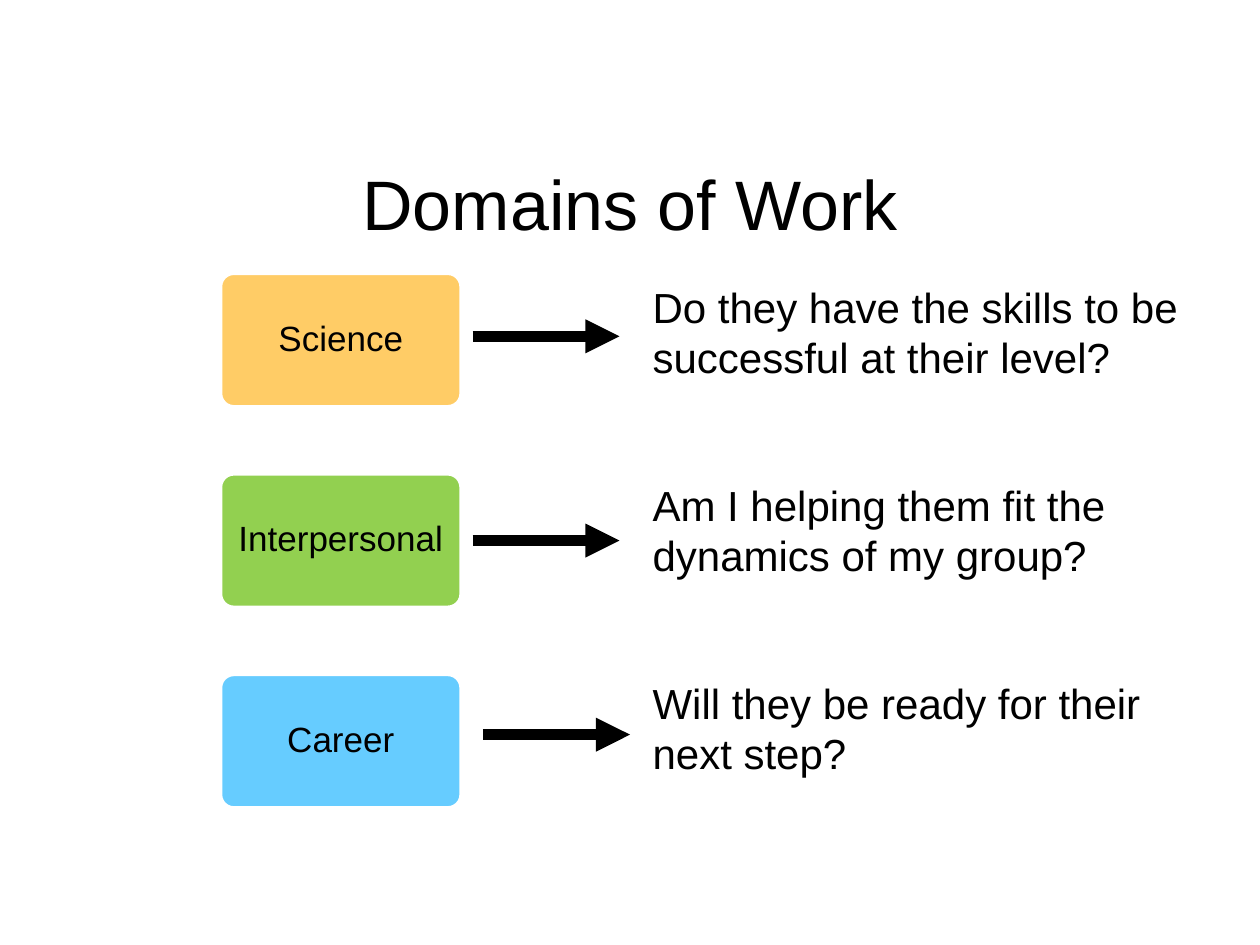
import pptx
import pptx.util
import pptx.dml.color
import pptx.enum.shapes
import pptx.enum.text
import pptx.oxml.ns
import lxml.etree

Pt = pptx.util.Pt
RGBColor = pptx.dml.color.RGBColor
ALIGN = pptx.enum.text.PP_ALIGN
ANCHOR = pptx.enum.text.MSO_ANCHOR
SHAPE = pptx.enum.shapes.MSO_SHAPE
CONNECTOR = pptx.enum.shapes.MSO_CONNECTOR
qn = pptx.oxml.ns.qn

BLACK = RGBColor(0x00, 0x00, 0x00)
WHITE = RGBColor(0xFF, 0xFF, 0xFF)
ORANGE = RGBColor(0xFF, 0xCC, 0x66)
GREEN = RGBColor(0x92, 0xD0, 0x50)
BLUE = RGBColor(0x66, 0xCC, 0xFF)

# Content: domain, colour, question, start of its arrow
TITLE = "Domains of Work"
DOMAINS = [
    ("Science", ORANGE, "Do they have the skills to be successful at their level?", (270, 192.2)),
    ("Interpersonal", GREEN, "Am I helping them fit the dynamics of my group?", (270, 308.9)),
    ("Career", BLUE, "Will they be ready for their next step?", (276, 419.8)),
]

# Layout in points
BOX_LEFT, BOX_TOP, BOX_WIDTH, BOX_HEIGHT = 126, 156.2, 137.5, 76.3
BOX_PITCH = 114.6
ARROW_LENGTH = 84


def write_text(frame, paragraphs, size, align=ALIGN.LEFT, anchor=ANCHOR.TOP,
               side_inset=7.2, top_inset=3.6, line_spacing=None, gap=0):
    frame.word_wrap = True
    frame.vertical_anchor = anchor
    frame.margin_left = frame.margin_right = Pt(side_inset)
    frame.margin_top, frame.margin_bottom = Pt(top_inset), Pt(3.6)
    for index, text in enumerate(paragraphs):
        paragraph = frame.add_paragraph() if index else frame.paragraphs[0]
        paragraph.text = text
        paragraph.alignment = align
        paragraph.line_spacing = line_spacing
        if index:
            paragraph.space_before = Pt(gap)
        paragraph.font.name = "Arial"
        paragraph.font.size = Pt(size)
        paragraph.font.color.rgb = BLACK


def add_arrow(shapes, left, top):
    arrow = shapes.add_connector(CONNECTOR.STRAIGHT, Pt(left), Pt(top),
                                 Pt(left + ARROW_LENGTH), Pt(top))
    arrow.line.color.rgb = BLACK
    arrow.line.width = Pt(6.5)
    properties = arrow.element.spPr
    lxml.etree.SubElement(properties.find(qn("a:ln")), qn("a:tailEnd"), type="triangle")
    lxml.etree.SubElement(properties, qn("a:effectLst"))


def main():
    deck = pptx.Presentation()
    deck.slide_width, deck.slide_height = Pt(720), Pt(540)
    shapes = deck.slides.add_slide(deck.slide_layouts[6]).shapes

    # Title
    title = shapes.add_textbox(Pt(36), Pt(84.2), Pt(648), Pt(77.8))
    write_text(title.text_frame, [TITLE], size=40, align=ALIGN.CENTER, top_inset=7.5)

    # Domain boxes and their arrows
    for row, (domain, colour, _, arrow_start) in enumerate(DOMAINS):
        box = shapes.add_shape(SHAPE.ROUNDED_RECTANGLE, Pt(BOX_LEFT),
                               Pt(BOX_TOP + row * BOX_PITCH), Pt(BOX_WIDTH), Pt(BOX_HEIGHT))
        box.adjustments[0] = 0.1
        box.shadow.inherit = False
        box.fill.solid()
        box.fill.fore_color.rgb = colour
        box.line.color.rgb = WHITE
        box.line.width = Pt(2)
        write_text(box.text_frame, [domain], size=20, align=ALIGN.CENTER,
                   anchor=ANCHOR.MIDDLE, side_inset=6, line_spacing=0.9)
        add_arrow(shapes, *arrow_start)

    # Questions
    questions = shapes.add_textbox(Pt(365.8), Pt(BOX_TOP), Pt(318.2), Pt(306))
    write_text(questions.text_frame, [question for _, _, question, _ in DOMAINS],
               size=24, top_inset=4.6, line_spacing=Pt(28.8), gap=55.5)

    deck.save("out.pptx")


if __name__ == "__main__":
    main()
